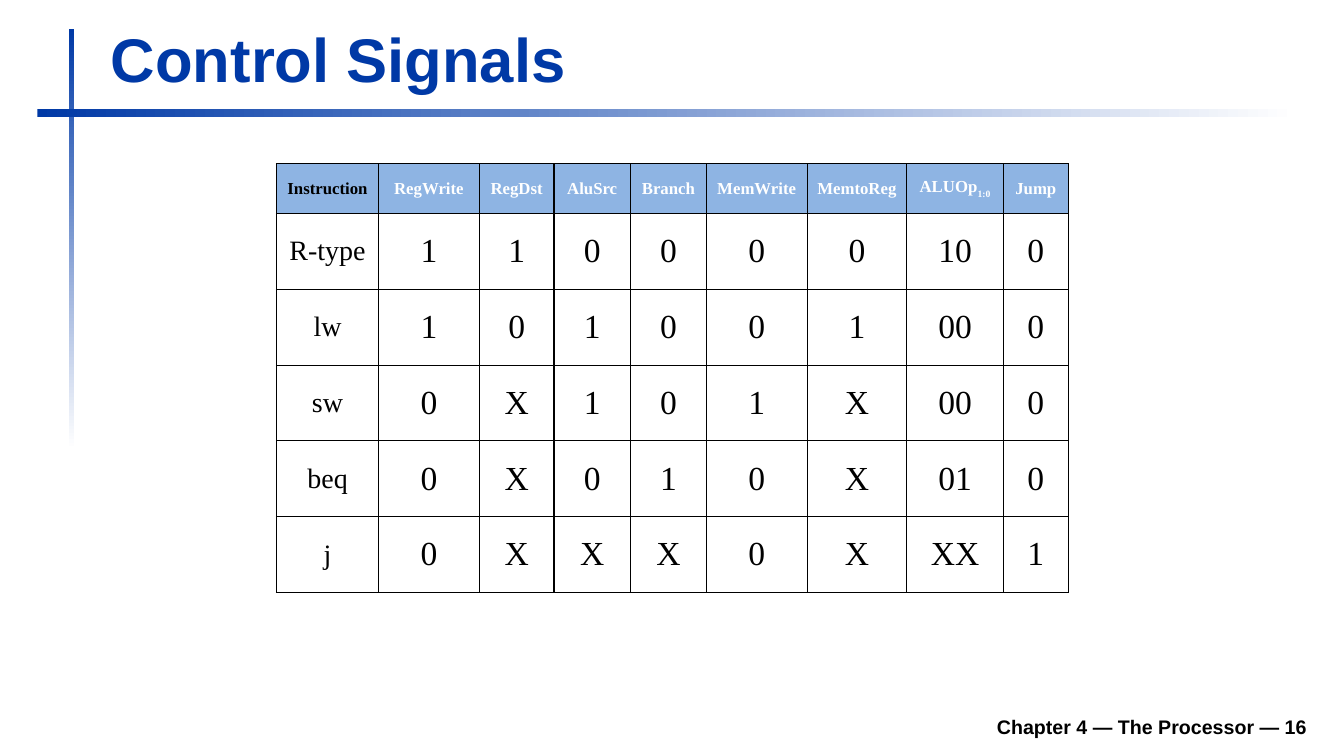
import collections

import lxml.etree
import pptx
import pptx.dml.color
import pptx.enum.shapes
import pptx.enum.text
import pptx.oxml
import pptx.oxml.ns
import pptx.util

Cm = pptx.util.Cm
Pt = pptx.util.Pt
RGBColor = pptx.dml.color.RGBColor
ALIGN = pptx.enum.text.PP_ALIGN
ANCHOR = pptx.enum.text.MSO_ANCHOR

BLUE = RGBColor(0x00, 0x39, 0xA6)
HEADER_BLUE = RGBColor(0x8E, 0xB4, 0xE3)
WHITE = RGBColor(0xFF, 0xFF, 0xFF)
BLACK = RGBColor(0x00, 0x00, 0x00)

Box = collections.namedtuple("Box", "left top width height")

COLUMN_WIDTHS = [2.57, 2.54, 1.88, 1.93, 1.91, 2.54, 2.51, 2.44, 1.63]
HEADER_HEIGHT = 1.25
SIGNALS = [
    ["Instruction", "RegWrite", "RegDst", "AluSrc", "Branch",
     "MemWrite", "MemtoReg", "ALUOp", "Jump"],
    ["R-type", "1", "1", "0", "0", "0", "0", "10", "0"],
    ["lw", "1", "0", "1", "0", "0", "1", "00", "0"],
    ["sw", "0", "X", "1", "0", "1", "X", "00", "0"],
    ["beq", "0", "X", "0", "1", "0", "X", "01", "0"],
    ["j", "0", "X", "X", "X", "0", "X", "XX", "1"],
]


def set_font(font, name, size, color, bold):
    font.name = name
    font.size = Pt(size)
    font.color.rgb = color
    font.bold = bold


def add_fading_bar(page, box, angle):
    bar = page.shapes.add_shape(
        pptx.enum.shapes.MSO_SHAPE.RECTANGLE, *map(Cm, box))
    bar.shadow.inherit = False
    bar.line.fill.background()
    bar.fill.gradient()
    bar.fill.gradient_angle = angle
    for stop, color in zip(bar.fill.gradient_stops, (BLUE, WHITE)):
        stop.color.rgb = color


def add_frame_bars(page, box):
    """Cross two fading bars near the top left corner of the box."""
    add_fading_bar(page, Box(box.left + 0.8, box.top, 0.13, 10.6), 270)
    add_fading_bar(page, Box(box.left, box.top + 2.02, box.width, 0.2), 0)


def place_title(page, box, text):
    title = page.shapes.title
    title.left, title.top, title.width, title.height = map(Cm, box)
    frame = title.text_frame
    frame.text = text
    frame.auto_size = pptx.enum.text.MSO_AUTO_SIZE.NONE
    frame.vertical_anchor = ANCHOR.BOTTOM
    para = frame.paragraphs[0]
    para.alignment = ALIGN.LEFT
    set_font(para.runs[0].font, "Arial", 44, BLUE, True)


def add_footer(page, box, text):
    frame = page.shapes.add_textbox(*map(Cm, box)).text_frame
    frame.word_wrap = True
    frame.vertical_anchor = ANCHOR.BOTTOM
    frame.text = text
    para = frame.paragraphs[0]
    para.alignment = ALIGN.RIGHT
    set_font(para.runs[0].font, "Arial", 14, BLACK, True)


def add_cell_borders(cell):
    properties = cell._tc.get_or_add_tcPr()
    for side in ("lnL", "lnR", "lnT", "lnB"):
        properties.append(pptx.oxml.parse_xml(
            f'<a:{side} {pptx.oxml.ns.nsdecls("a")} w="{Pt(1)}">'
            f'<a:solidFill><a:srgbClr val="{BLACK}"/></a:solidFill></a:{side}>'))


def fill_cell(cell, text, row, column):
    add_cell_borders(cell)
    cell.margin_left = cell.margin_right = Cm(0.1)
    cell.vertical_anchor = ANCHOR.MIDDLE
    cell.text_frame.text = text
    para = cell.text_frame.paragraphs[0]
    para.alignment = ALIGN.CENTER
    is_header = row == 0
    if is_header:
        cell.fill.solid()
        cell.fill.fore_color.rgb = HEADER_BLUE
        size = 12
    else:
        cell.fill.background()
        size = 20 if column == 0 else 24
    if text == "ALUOp":
        bits = para.add_run()
        bits.text = "1:0"
        bits._r.get_or_add_rPr().set("baseline", "-30000")
    color = WHITE if is_header and column > 0 else BLACK
    for span in para.runs:
        set_font(span.font, "Times New Roman", size, color, is_header)


def add_signal_table(page, box):
    table = page.shapes.add_table(
        len(SIGNALS), len(COLUMN_WIDTHS), *map(Cm, box)).table
    for column, width in zip(table.columns, COLUMN_WIDTHS):
        column.width = Cm(width)
    body_height = (box.height - HEADER_HEIGHT) / (len(SIGNALS) - 1)
    for row, texts in enumerate(SIGNALS):
        table.rows[row].height = Cm(body_height if row else HEADER_HEIGHT)
        for column, text in enumerate(texts):
            fill_cell(table.cell(row, column), text, row, column)


def main():
    deck = pptx.Presentation()
    deck.slide_width, deck.slide_height = Cm(33.87), Cm(19.05)
    page = deck.slides.add_slide(deck.slide_layouts.get_by_name("Title Only"))
    add_frame_bars(page, Box(0.94, 0.72, 31.75, 10.6))
    place_title(page, Box(2.54, 0.4, 30.58, 2.11), "Control Signals")
    add_footer(page, Box(6.27, 17.73, 26.92, 1),
               "Chapter 4 — The Processor — 16")
    add_signal_table(page, Box(6.97, 4.13, sum(COLUMN_WIDTHS), 10.8))
    deck.save("out.pptx")


if __name__ == "__main__":
    main()
